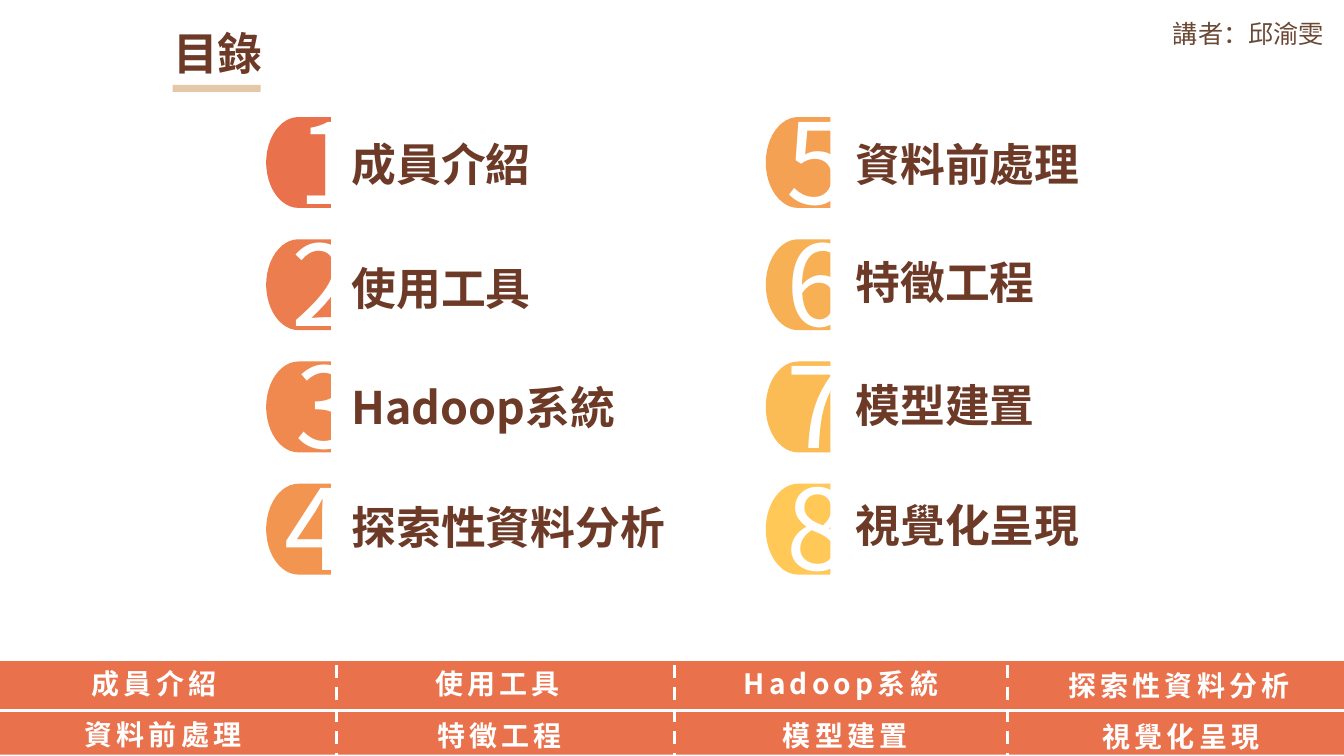
"""Build the table-of-contents slide with eight numbered topics and a navigation bar."""
from lxml.etree import SubElement
from pptx import Presentation
from pptx.dml.color import RGBColor
from pptx.enum.dml import MSO_LINE
from pptx.enum.shapes import MSO_CONNECTOR, MSO_SHAPE
from pptx.enum.text import MSO_ANCHOR, MSO_AUTO_SIZE, PP_ALIGN
from pptx.oxml.ns import qn
from pptx.util import Cm, Pt

TITLE = "目錄"
SPEAKER = "講者：邱渝雯"
# topic, badge colour, label top, (digit left, width), (bar text left, top, width), all in cm
TOPICS = [
    ("成員介紹", "E9714C", 3.33, (7.26, 1.65), (2.06, 16.66, 3.78)),
    ("使用工具", "EC7D4E", 6.45, (7.09, 2.08), (10.72, 16.66, 3.78)),
    ("Hadoop系統", "EF894F", 9.45, (7.19, 2.08), (18.49, 16.66, 5.59)),
    ("探索性資料分析", "F29551", 12.47, (6.91, 2.16), (26.67, 16.71, 6.25)),
    ("資料前處理", "F5A153", 3.33, (19.58, 2.08), (1.88, 17.96, 4.6)),
    ("特徵工程", "F8B054", 6.3, (19.58, 2.11), (10.77, 17.98, 3.78)),
    ("模型建置", "FBBB55", 9.4, (19.58, 2.03), (19.48, 17.98, 3.78)),
    ("視覺化呈現", "FFC857", 12.42, (19.58, 2.08), (27.53, 18.01, 4.6)),
]
BROWN, WHITE, ORANGE, SAND = "6C3A27", "FFFFFF", "E9714C", "E5C8A9"
SC, TC, JP = (f"Noto Sans CJK {region}" for region in ("SC", "TC", "JP"))
WIDTH, HEIGHT = 33.87, 19.05
ROWS = 4
BADGE_LEFTS, LABEL_LEFTS = (6.71, 19.3), (8.61, 21.31)
BADGE_TOP, BADGE_STEP, BADGE_SIZE = 2.95, 3.08, (1.63, 2.29)
BAR_ROWS = [(16.66, 1.24), (17.93, 1.09)]
BAR_COLUMNS = 4
DIVIDERS = (8.47, 16.99, 25.4)


def rgb(value):
    return RGBColor.from_string(value)


def put_text(sp, text, size, font, color, bold=False, wrap=True, spacing=0):
    tf = sp.text_frame
    tf.word_wrap = wrap
    tf.auto_size = MSO_AUTO_SIZE.SHAPE_TO_FIT_TEXT
    tf.vertical_anchor = MSO_ANCHOR.TOP
    p = tf.paragraphs[0]
    p.alignment = PP_ALIGN.LEFT
    r = p.add_run()
    r.text = text
    r.font.size, r.font.name, r.font.bold = Pt(size), font, bold
    r.font.color.rgb = rgb(color)
    props = r.font._element
    SubElement(props, qn("a:ea")).set("typeface", font)
    if spacing:
        props.set("spc", str(spacing * 100))


def add_text(s, box, *args, **style):
    put_text(s.shapes.add_textbox(*map(Cm, box)), *args, **style)


def add_block(s, kind, box, color):
    sp = s.shapes.add_shape(kind, *map(Cm, box))
    sp.shadow.inherit = False
    sp.fill.solid()
    sp.fill.fore_color.rgb = rgb(color)
    sp.line.fill.background()
    return sp


def add_line(s, ends, dash=None):
    line = s.shapes.add_connector(MSO_CONNECTOR.STRAIGHT, *map(Cm, ends))
    line.line.color.rgb = rgb(WHITE)
    line.line.width = Pt(2.25)
    if dash:
        line.line.dash_style = dash
    SubElement(line._element.spPr, qn("a:effectLst"))


def add_topics(s):
    for i, (topic, color, label_top, (digit_left, digit_width), _) in enumerate(TOPICS):
        column, row = divmod(i, ROWS)
        top = BADGE_TOP + row * BADGE_STEP
        badge = add_block(s, MSO_SHAPE.FLOWCHART_DELAY,
                          (BADGE_LEFTS[column], top, *BADGE_SIZE), color)
        badge._element.spPr.xfrm.set("flipH", "1")
        add_text(s, (digit_left, top - 0.75, digit_width, 3.68),
                 str(i + 1), 80, JP, WHITE, wrap=False)
        add_text(s, (LABEL_LEFTS[column], label_top, 8.79, 1.63),
                 topic, 32, SC, BROWN, bold=True)


def add_bar(s):
    cell = WIDTH / BAR_COLUMNS
    for top, height in BAR_ROWS:
        for column in range(BAR_COLUMNS):
            add_block(s, MSO_SHAPE.RECTANGLE, (column * cell, top, cell, height), ORANGE)
    for x in DIVIDERS:
        add_line(s, (x, 16.21, x, 19.42), MSO_LINE.DASH)
    add_line(s, (0, 17.91, WIDTH, 17.91))
    for topic, *_, (left, top, width) in TOPICS:
        add_text(s, (left, top, width, 1.12), topic, 20, SC, WHITE,
                 bold=True, wrap=False, spacing=3)


def main():
    prs = Presentation()
    prs.slide_width, prs.slide_height = Cm(WIDTH), Cm(HEIGHT)
    s = prs.slides.add_slide(prs.slide_layouts[5])
    title = s.shapes.title
    title.left, title.top, title.width, title.height = map(Cm, (4.11, 0.53, 8.79, 1.63))
    put_text(title, TITLE, 32, SC, BROWN, bold=True)
    add_block(s, MSO_SHAPE.RECTANGLE, (4.35, 2.14, 2.22, 0.18), SAND)
    add_text(s, (29.31, 0.33, 4.37, 1.02), SPEAKER, 18, TC, "6B4834", wrap=False)
    add_topics(s)
    add_bar(s)
    prs.save("out.pptx")


if __name__ == "__main__":
    main()
